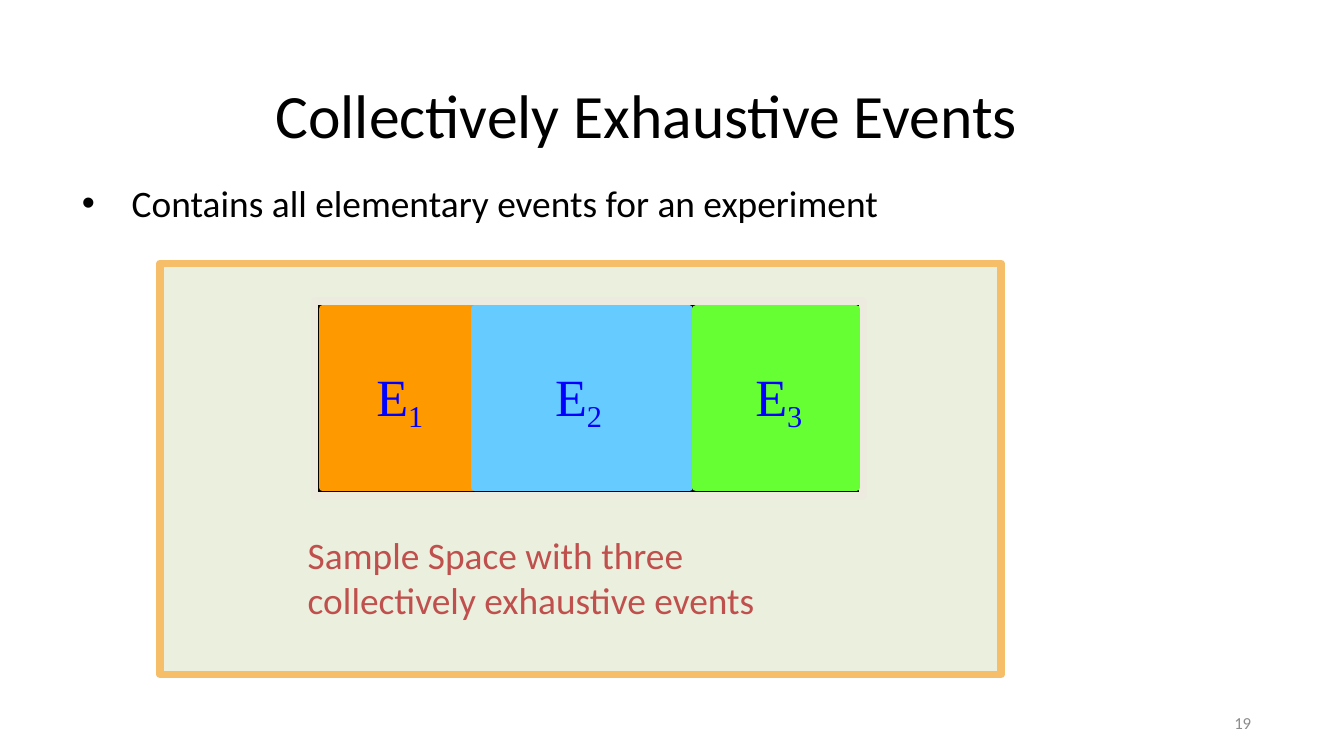
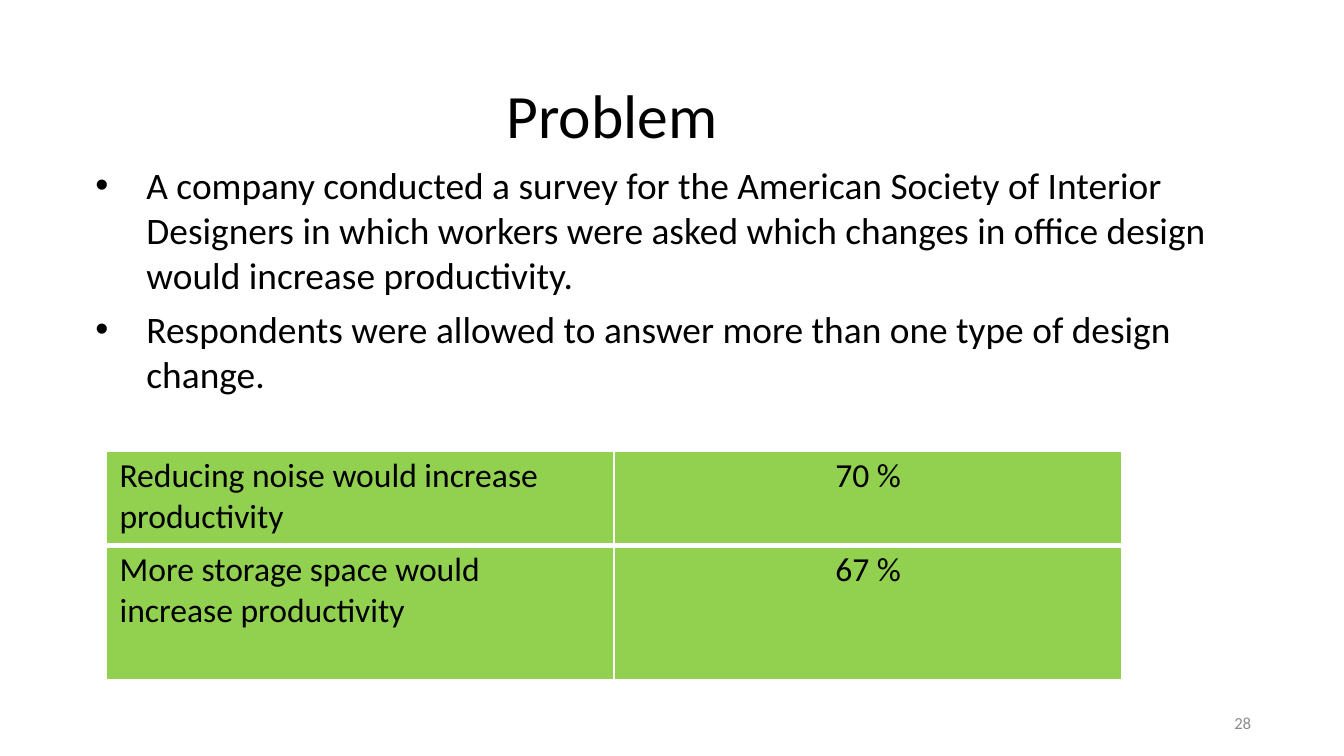
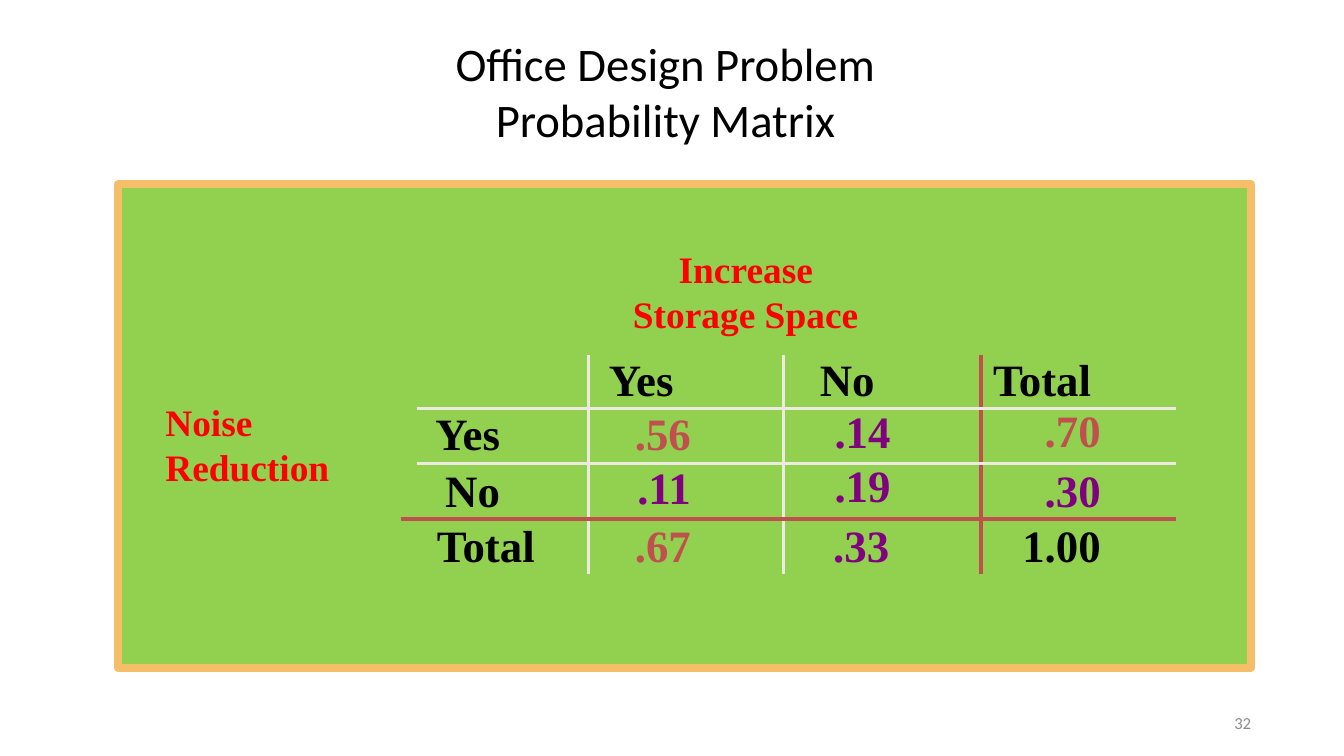
"""Build three probability slides: exhaustive events, a survey and its matrix."""
from lxml.etree import SubElement
from pptx import Presentation
from pptx.dml.color import RGBColor
from pptx.enum.shapes import MSO_SHAPE
from pptx.enum.text import MSO_ANCHOR, PP_ALIGN
from pptx.oxml.ns import qn
from pptx.util import Inches, Pt

BLACK = RGBColor(0x00, 0x00, 0x00)
WHITE = RGBColor(0xFF, 0xFF, 0xFF)
GREY = RGBColor(0x8C, 0x8C, 0x8C)
BRICK = RGBColor(0xC0, 0x50, 0x4D)
RED = RGBColor(0xFF, 0x00, 0x00)
PURPLE = RGBColor(0x80, 0x00, 0x80)
BLUE = RGBColor(0x00, 0x00, 0xFF)
IVORY = RGBColor(0xED, 0xEB, 0xE0)
SAGE = RGBColor(0xEB, 0xF0, 0xDE)
GREEN = RGBColor(0x92, 0xD0, 0x50)
FRAME = RGBColor(0xF6, 0xBE, 0x69)
ORANGE = RGBColor(0xFF, 0x99, 0x00)
SKY = RGBColor(0x66, 0xCC, 0xFF)
LIME = RGBColor(0x66, 0xFF, 0x33)

SANS, SERIF = "Calibri", "Times New Roman"
SLIDE_WIDTH = Inches(10)
SLIDE_HEIGHT = SLIDE_WIDTH * 9 // 16
GRID = SLIDE_WIDTH // 100
TITLE_AT = (6.9, 3, 86.2, 10.9)
NUMBER_AT = (70.6, 52.1, 22.5, 3)
NO_STYLE = "{2D5ABB26-0587-4C30-8999-92F81FD0307C}"

TITLE = {"name": SANS, "size": Pt(33), "color": BLACK}
SMALL_TITLE = {**TITLE, "size": Pt(25)}
BODY = {"name": SANS, "size": Pt(20), "color": BLACK}
CAPTION = {**BODY, "color": BRICK}
ANSWER = {**BODY, "size": Pt(18)}
NUMBER = {"name": SANS, "size": Pt(9), "color": GREY}
EVENT = {"name": SERIF, "size": Pt(28), "color": BLUE}
AXIS = {"name": SERIF, "size": Pt(20), "color": RED, "bold": True}
MATRIX = {"name": SERIF, "size": Pt(24), "bold": True}

EVENTS = [("1", ORANGE, 24, 11.4, 27.7), ("2", SKY, 35.3, 16, 41), ("3", LIME, 51.8, 11.9, 55.9)]
EVENTS_TOP, EVENTS_HEIGHT = 23, 13.3

SURVEY = [
    "A company conducted a survey for the American Society of Interior Designers "
    "in which workers were asked which changes in office design would increase productivity.",
    "Respondents were allowed to answer more than one type of design change.",
]
ANSWERS = [
    (["Reducing noise would increase productivity"], "70 %"),
    (["More storage space would", "increase productivity"], "67 %"),
]

PROBABILITIES = [
    [None, None, ("Yes", BLACK, 27.4, 0.15), ("No", BLACK, 27.4, 0.27), ("Total", BLACK, 27.4, 0.09)],
    [None, ("Yes", BLACK, 27.6, None), (".56", BRICK, 27.4, None),
     (".14", PURPLE, 26.6, 0.38), (".70", BRICK, 26.2, None)],
    [None, ("No", BLACK, 28.4, None), (".11", PURPLE, 27.2, None),
     (".19", PURPLE, 25.9, 0.38), (".30", PURPLE, 28.4, None)],
    [("Total", BLACK, 28.7, 0.27), None, (".67", BRICK, 28.7, None),
     (".33", PURPLE, 28.7, 0.37), ("1.00", BLACK, 28.7, None)],
]
RIGHT_INSETS = {1: 0.66, 2: 0.69, 4: 0.56}
COLUMN_RULES = {1: IVORY, 2: IVORY, 3: BRICK}
ROW_RULES = {0: IVORY, 1: IVORY, 2: BRICK}


def place(at):
    return [round(length * GRID) for length in at]


def add_run(paragraph, words, look):
    run = paragraph.add_run()
    run.text = words
    for key, value in look.items():
        if key == "color":
            run.font.color.rgb = value
        else:
            setattr(run.font, key, value)
    return run


def write(frame, lines, look, left=0, first=0, bullet=False, gap=0, **layout):
    frame.word_wrap = True
    for index, line in enumerate(lines):
        paragraph = frame.paragraphs[0] if index == 0 else frame.add_paragraph()
        add_run(paragraph, line, look)
        for key, value in layout.items():
            setattr(paragraph, key, value)
        if index and gap:
            paragraph.space_before = Pt(gap)
        properties = paragraph._p.get_or_add_pPr()
        properties.set("marL", str(Inches(left)))
        properties.set("indent", str(Inches(first)))
        if bullet:
            SubElement(properties, qn("a:buFont"), typeface="Arial")
            SubElement(properties, qn("a:buChar"), char="•")


def set_margins(holder, left=0, top=0.01, right=0, bottom=0):
    for side, inset in zip(("left", "top", "right", "bottom"), (left, top, right, bottom)):
        setattr(holder, f"margin_{side}", Inches(inset))


def add_text(slide, at, lines, look, anchor=MSO_ANCHOR.TOP, **layout):
    frame = slide.shapes.add_textbox(*place(at)).text_frame
    set_margins(frame)
    frame.vertical_anchor = anchor
    write(frame, lines, look, **layout)
    return frame


def add_panel(slide, at, fill, border):
    panel = slide.shapes.add_shape(MSO_SHAPE.RECTANGLE, *place(at))
    panel.shadow.inherit = False
    panel.fill.solid()
    panel.fill.fore_color.rgb = fill
    panel.line.color.rgb = border
    panel.line.width = Pt(4)
    SubElement(panel.line._get_or_add_ln(), qn("a:round"))


def add_grid(slide, at, widths, heights):
    table = slide.shapes.add_table(len(heights), len(widths), *place(at)).table
    table._tbl.tblPr.find(qn("a:tableStyleId")).text = NO_STYLE
    for column, width in zip(table.columns, widths):
        column.width = round(width * GRID)
    for row, height in zip(table.rows, heights):
        row.height = round(height * GRID)
    return table


def dress(cell, rules):
    """Give a cell its borders, as (colour, points) by side, and a green fill."""
    properties = cell._tc.get_or_add_tcPr()
    for side in "LRTB":
        color, points = rules.get(side, (None, 0))
        edge = SubElement(properties, qn(f"a:ln{side}"), w=str(Pt(points)))
        if color is None:
            SubElement(edge, qn("a:noFill"))
        else:
            SubElement(SubElement(edge, qn("a:solidFill")), qn("a:srgbClr"), val=str(color))
    cell.fill.solid()
    cell.fill.fore_color.rgb = GREEN


def start_slide(deck, title, number, look=TITLE, at=TITLE_AT, **layout):
    slide = deck.slides.add_slide(deck.slide_layouts[6])
    add_text(slide, at, [title], look, MSO_ANCHOR.MIDDLE, **layout)
    add_text(slide, NUMBER_AT, [number], NUMBER, MSO_ANCHOR.MIDDLE,
             alignment=PP_ALIGN.RIGHT, line_spacing=Pt(12.4))
    return slide


def build_events(deck):
    slide = start_slide(deck, "Collectively Exhaustive Events", "19", left=1.36)
    add_text(slide, (5.9, 13.3, 59.6, 3.6), ["Contains all elementary events for an experiment"],
             BODY, left=0.39, first=-0.37, bullet=True)
    add_panel(slide, (11.9, 19.6, 62.6, 30.6), SAGE, FRAME)
    add_panel(slide, (23.4, 22.4, 40.8, 14.5), BLACK, IVORY)
    for index, color, left, width, label_left in EVENTS:
        add_panel(slide, (left, EVENTS_TOP, width, EVENTS_HEIGHT), color, color)
        label = add_text(slide, (label_left, 27, 4.4, 4.9), ["E"], EVENT, left=0.03)
        subscript = add_run(label.paragraphs[0], index, EVENT)
        subscript._r.get_or_add_rPr().set("baseline", "-21000")
    add_text(slide, (22.9, 39.5, 33.4, 7), ["Sample Space with three", "collectively exhaustive events"], CAPTION)


def build_survey(deck):
    slide = start_slide(deck, "Problem", "28", left=3.08)
    add_text(slide, (7, 12, 83.3, 17.6), SURVEY, BODY, left=0.39, first=-0.38, bullet=True, gap=4.8)
    table = add_grid(slide, (7.9, 33.6, 75.6, 17), [37.8, 37.8], [7, 10])
    for row, (change, share) in enumerate(ANSWERS):
        rules = {side: (WHITE, 1) for side in "LRTB"}
        rules["T" if row else "B"] = (WHITE, 3)
        for column, lines in enumerate((change, [share])):
            cell = table.cell(row, column)
            dress(cell, rules)
            set_margins(cell, left=0 if column else 0.1, top=0.03)
            write(cell.text_frame, lines, ANSWER,
                  alignment=PP_ALIGN.CENTER if column else PP_ALIGN.LEFT)


def build_matrix(deck):
    slide = start_slide(deck, "Office Design Problem Probability Matrix", "32", SMALL_TITLE,
                        (33.8, 2.4, 32.3, 8.6), left=0.31, first=-0.3)
    add_panel(slide, (8.8, 13.7, 84.3, 36), GREEN, FRAME)
    add_text(slide, (47, 18.2, 17, 7), ["Increase Storage Space"], AXIS, left=0.01, first=0.34)
    table = add_grid(slide, (29.8, 26.4, 57.7, 16.3), [1.2, 12.8, 14.5, 14.7, 14.5], [4, 4.1, 4.1, 4.1])
    table.cell(0, 0).merge(table.cell(2, 0))
    table.cell(3, 0).merge(table.cell(3, 1))
    for row, entries in enumerate(PROBABILITIES):
        for column, entry in enumerate(entries):
            cell = table.cell(row, column)
            set_margins(cell, top=0)
            if cell.is_spanned:
                continue
            edges = {
                "L": COLUMN_RULES.get(column - 1),
                "R": COLUMN_RULES.get(column + cell.span_width - 1),
                "T": ROW_RULES.get(row - 1),
                "B": ROW_RULES.get(row + cell.span_height - 1),
            }
            dress(cell, {side: (color, 2.25) for side, color in edges.items() if color is not None})
            if entry is None:
                continue
            words, color, spacing, indent = entry
            flush_right = indent is None
            if flush_right:
                cell.margin_right = Inches(RIGHT_INSETS[column])
            write(cell.text_frame, [words], {**MATRIX, "color": color}, left=indent or 0,
                  alignment=PP_ALIGN.RIGHT if flush_right else PP_ALIGN.LEFT, line_spacing=Pt(spacing))
    add_text(slide, (12.2, 29.6, 12.8, 7), ["Noise Reduction"], AXIS, left=0.01)


def main():
    deck = Presentation()
    deck.slide_width, deck.slide_height = SLIDE_WIDTH, SLIDE_HEIGHT
    for build in (build_events, build_survey, build_matrix):
        build(deck)
    deck.save("out.pptx")


if __name__ == "__main__":
    main()
